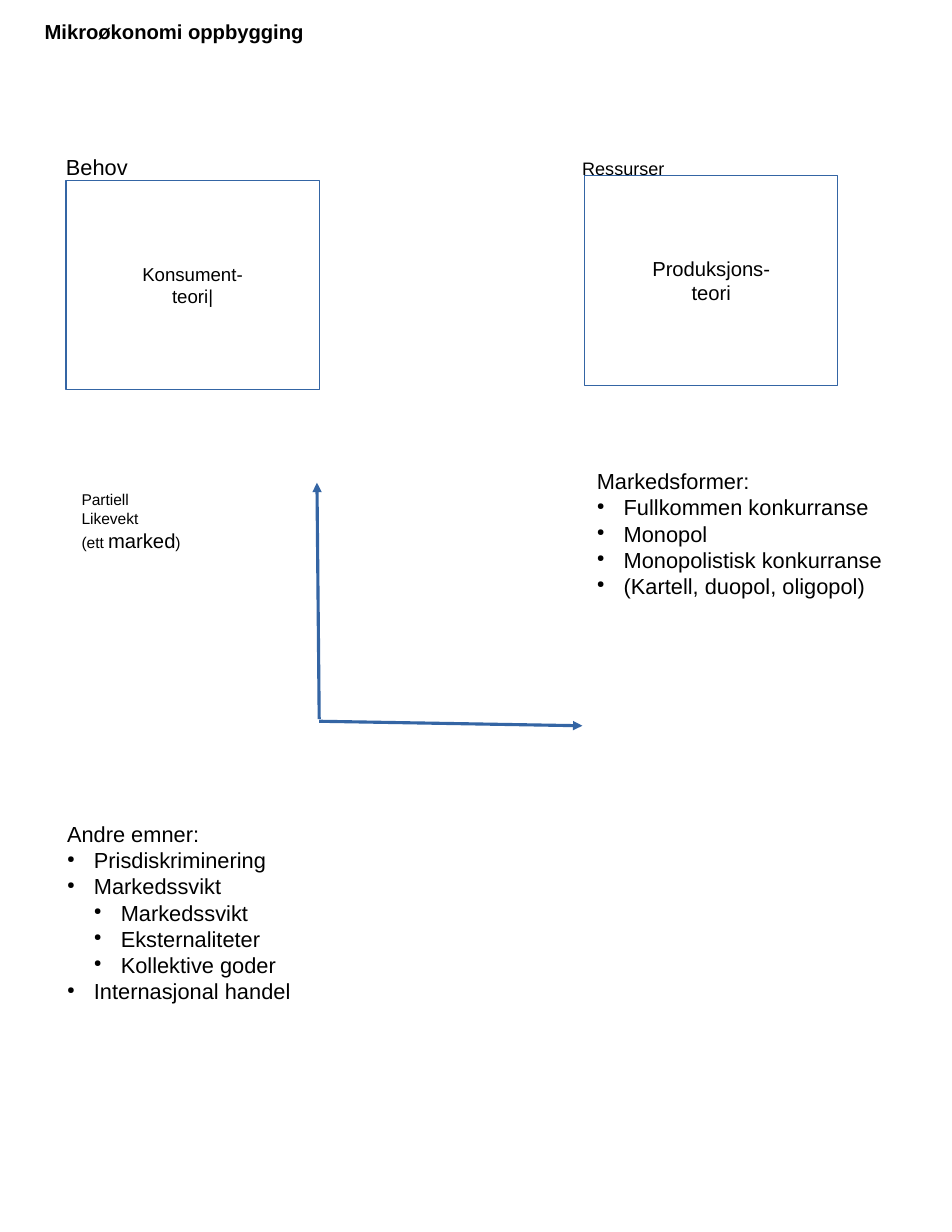
from lxml import etree
from pptx import Presentation
from pptx import util as u
from pptx.dml.color import RGBColor
from pptx.enum import shapes, text
from pptx.oxml.ns import qn

COLORS = {"line": "3465A4", "text": "000000", "box": "FFFFFF"}
INDENT = 0.24

presentation = Presentation()
presentation.slide_width = u.Inches(8.5)
presentation.slide_height = u.Inches(11)
slide = presentation.slides.add_slide(presentation.slide_layouts[6])


def add_run(paragraph, words, size, bold=False):
    run = paragraph.add_run()
    run.text = words
    run.font.name = "Arial"
    run.font.size = u.Pt(size)
    run.font.bold = bold
    run.font.color.rgb = RGBColor.from_string(COLORS["text"])
    return run


def add_text(left, top, width, height, lines):
    """Add a text box; each line is (bullet level or None, list of run arguments)."""
    box = slide.shapes.add_textbox(*map(u.Inches, (left, top, width, height)))
    frame = box.text_frame
    frame.word_wrap = False
    frame.auto_size = text.MSO_AUTO_SIZE.SHAPE_TO_FIT_TEXT
    for index, (level, runs) in enumerate(lines):
        paragraph = frame.add_paragraph() if index else frame.paragraphs[0]
        if level is not None:
            paragraph.level = level
            properties = paragraph._p.get_or_add_pPr()
            properties.set("marL", str(u.Inches(INDENT * (level + 1))))
            properties.set("indent", str(u.Inches(-INDENT)))
            color = etree.SubElement(properties, qn("a:buClr"))
            etree.SubElement(color, qn("a:srgbClr"), val=COLORS["text"])
            etree.SubElement(properties, qn("a:buSzPct"), val="45000")
            etree.SubElement(properties, qn("a:buChar"), char="●")
        for run in runs:
            add_run(paragraph, *run)
    return box


# Theory boxes
for left, top, size, lines, filled in [
    (0.59, 1.61, 12, ["Konsument-", "teori|"], True),
    (5.22, 1.57, 13, ["Produksjons-", "teori"], False),
]:
    box = slide.shapes.add_shape(
        shapes.MSO_SHAPE.RECTANGLE, *map(u.Inches, (left, top, 2.26, 1.87)))
    box.shadow.inherit = False
    if filled:
        box.fill.solid()
        box.fill.fore_color.rgb = RGBColor.from_string(COLORS["box"])
    else:
        box.fill.background()
    box.line.color.rgb = RGBColor.from_string(COLORS["line"])
    box.line.width = u.Pt(0)
    frame = box.text_frame
    frame.vertical_anchor = text.MSO_ANCHOR.MIDDLE
    for index, words in enumerate(lines):
        paragraph = frame.add_paragraph() if index else frame.paragraphs[0]
        paragraph.alignment = text.PP_ALIGN.CENTER
        add_run(paragraph, words, size)

add_text(0.3, 0.12, 3.41, 0.38, [(None, [("Mikroøkonomi oppbygging", 13, True)])])

# Axes of the market diagram
for ends in [(2.85, 6.44, 5.2, 6.48), (2.85, 6.42, 2.83, 4.31)]:
    axis = slide.shapes.add_connector(
        shapes.MSO_CONNECTOR.STRAIGHT, *map(u.Inches, ends))
    axis.line.color.rgb = RGBColor.from_string(COLORS["line"])
    axis.line.width = u.Pt(0)
    etree.SubElement(axis.line._get_or_add_ln(), qn("a:tailEnd"), type="triangle")
    etree.SubElement(axis._element.spPr, qn("a:effectLst"))

add_text(0.63, 4.33, 1.54, 0.94, [
    (None, [("Partiell", 10)]),
    (None, [("Likevekt", 10)]),
    (None, [("(ett ", 10), ("marked", 13), (")", 10)]),
])

# Bulleted lists
for position, heading, items in [
    ((5.23, 4.13, 2.75, 1.69), "Markedsformer:", [
        (0, "Fullkommen konkurranse"),
        (0, "Monopol"),
        (0, "Monopolistisk konkurranse"),
        (0, "(Kartell, duopol, oligopol)"),
    ]),
    ((0.5, 7.28, 2.75, 1.85), "Andre emner:", [
        (0, "Prisdiskriminering"),
        (0, "Markedssvikt"),
        (1, "Markedssvikt"),
        (1, "Eksternaliteter"),
        (1, "Kollektive goder"),
        (0, "Internasjonal handel"),
    ]),
]:
    add_text(*position, [(level, [(words, 14)])
                         for level, words in [(None, heading), *items]])

# Labels above the theory boxes
add_text(0.49, 1.32, 0.9, 0.38, [(None, [("Behov", 14)])])
resources = add_text(5.1, 1.22, 1.33, 0.41, [(None, [("Ressurser", 20)])])
resources.text_frame.paragraphs[0].runs[0].font._element.set("baseline", "-8000")

presentation.save("out.pptx")
